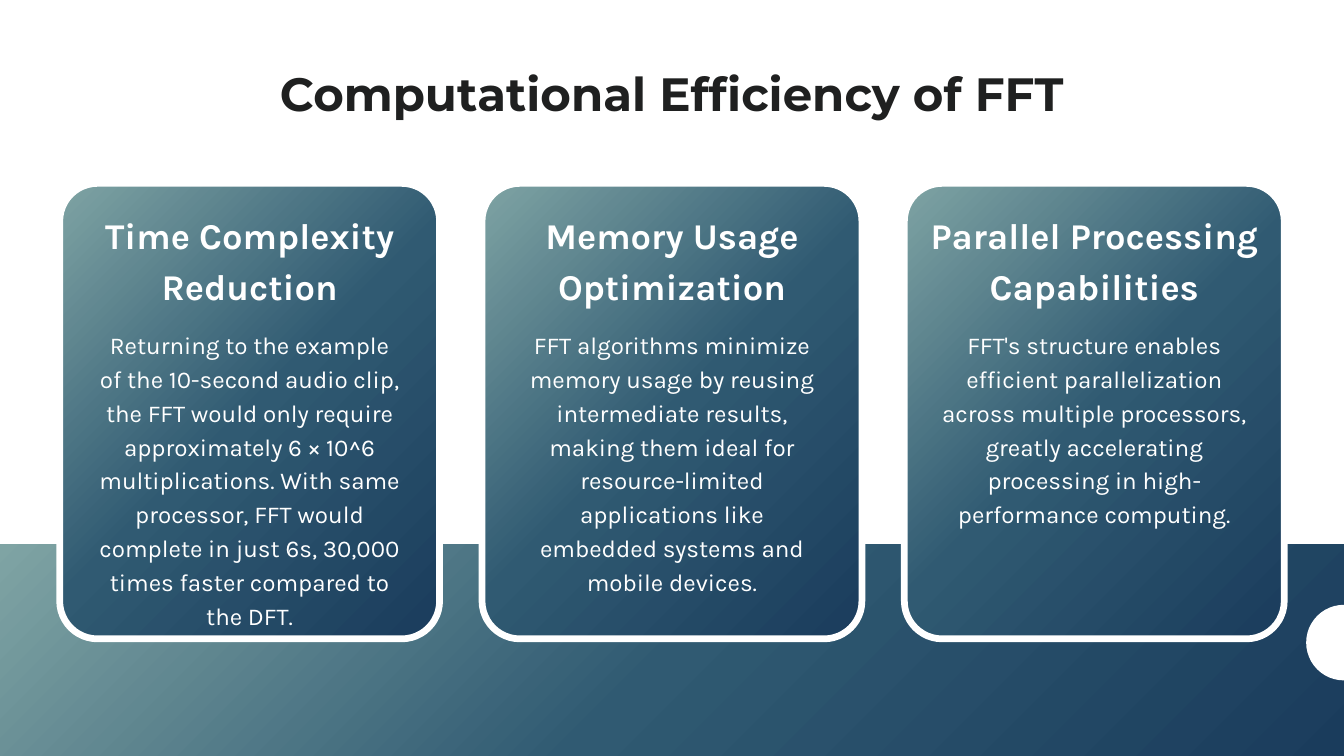
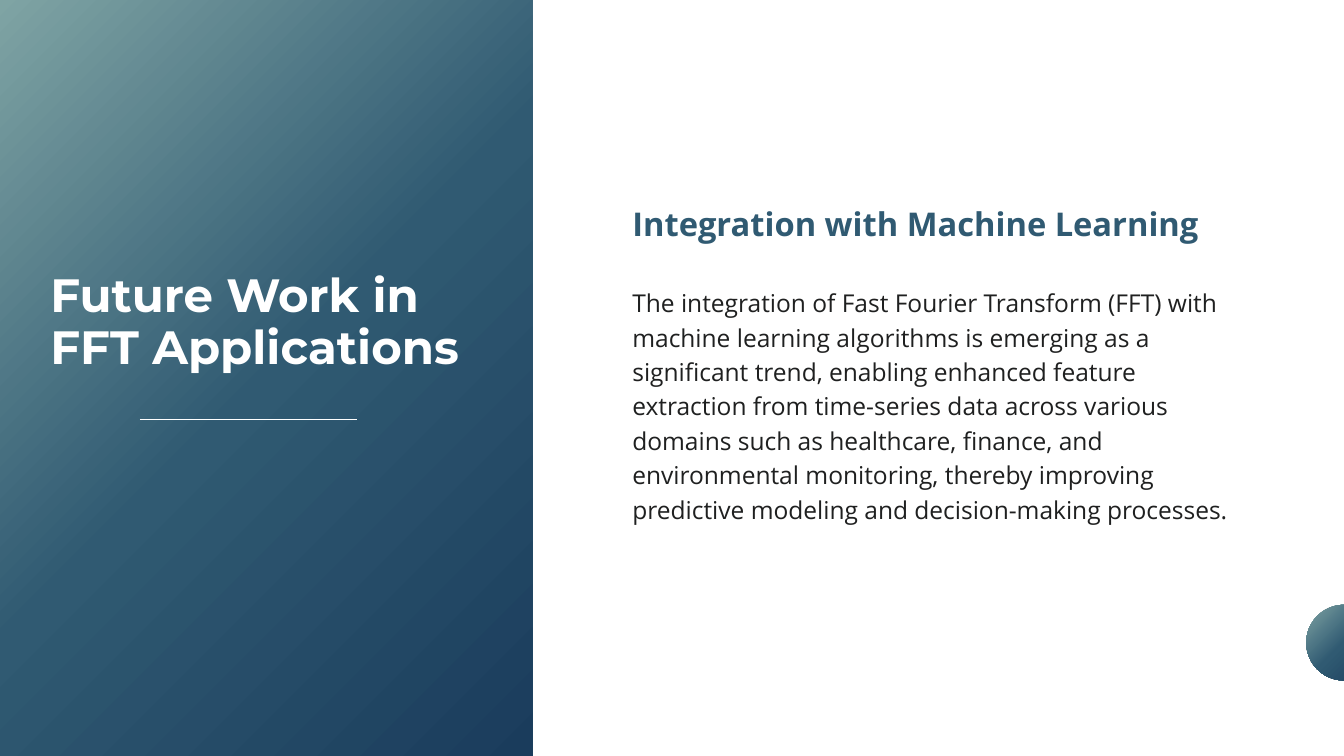
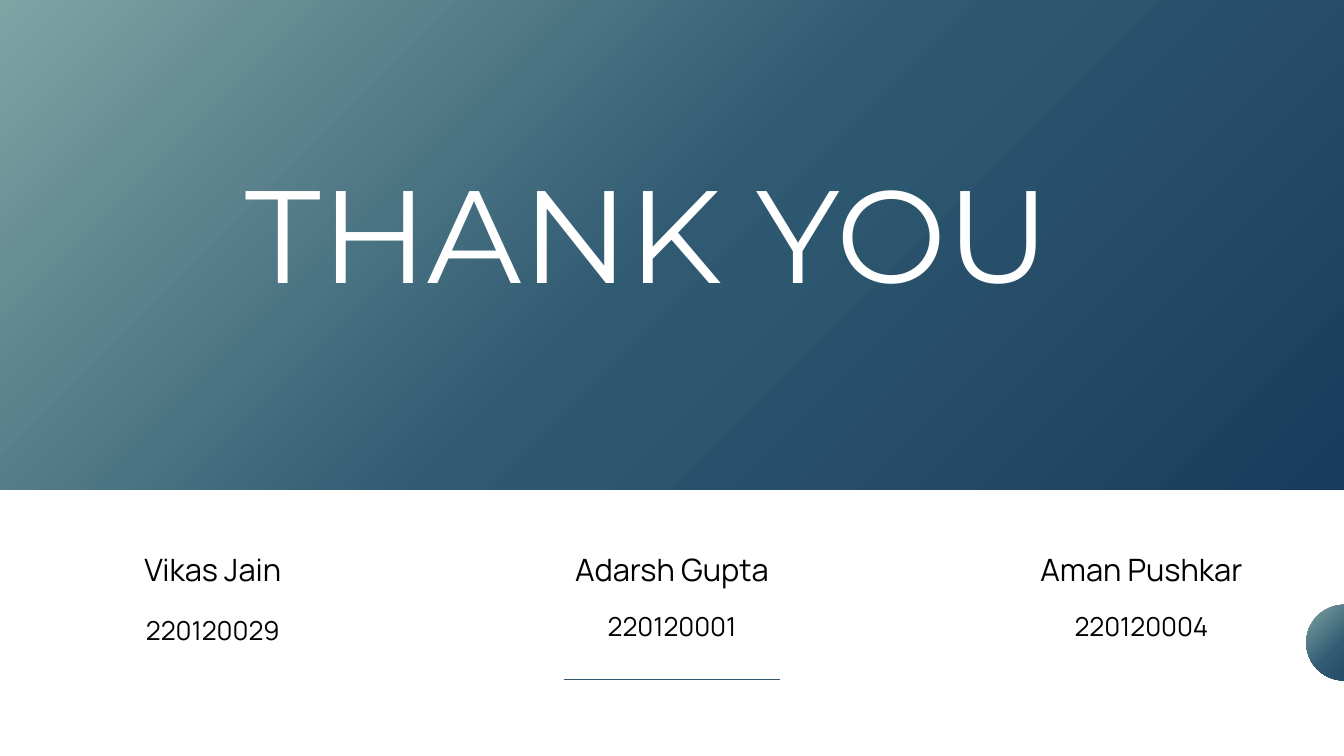
from copy import deepcopy
from dataclasses import dataclass, replace

from lxml.etree import SubElement
from pptx import Presentation
from pptx.dml.color import RGBColor
from pptx.enum.shapes import MSO_CONNECTOR as Connector, MSO_SHAPE as Shape
from pptx.enum.text import MSO_AUTO_SIZE as AutoSize, PP_ALIGN as Align
from pptx.oxml.ns import qn
from pptx.util import Pt

WIDTH, HEIGHT = 1440, 810
COLORS = {
    "sage": "7FA4A4",
    "teal": "305A72",
    "navy": "1A3C5C",
    "ink": "1F2020",
    "black": "000000",
    "white": "FFFFFF",
}
GRADIENT = [(0, "sage"), (0.5, "teal"), (1, "navy")]


@dataclass(frozen=True)
class Style:
    font: str
    size: float
    spacing: float
    color: str
    bold: bool = False
    align: Align = Align.CENTER


@dataclass(frozen=True)
class Box:
    left: float
    top: float
    width: float
    height: float

    def lengths(self) -> list:
        return [Pt(value) for value in (self.left, self.top, self.width, self.height)]


@dataclass(frozen=True)
class Card:
    heading: str
    body: str
    body_lines: int
    heading_width: float = 327.6


@dataclass(frozen=True)
class Member:
    name: str
    number: str
    center: float
    name_width: float
    number_top: float = 648.7


# Text styles
TITLE = Style("Montserrat", 50, 56, "ink", bold=True)
SIDE_TITLE = replace(TITLE, color="white", align=Align.LEFT)
CARD_HEADING = Style("Karla", 38.9, 54.5, "white", bold=True)
CARD_BODY = Style("Karla", 25.9, 36.2, "white")
TOPIC = Style("Open Sans", 35, 49, "teal", bold=True, align=Align.LEFT)
TOPIC_BODY = Style("Open Sans", 26.3, 36.8, "ink", align=Align.LEFT)
THANKS = Style("Montserrat", 140.7, 143.5, "white")
MEMBER_NAME = Style("Manrope", 33, 46.2, "black")
MEMBER_NUMBER = Style("Manrope", 28, 39.2, "black")

# Card grid
CARD_LEFT, CARD_TOP, CARD_PITCH = 64, 196.5, 452.5
CARD_WIDTH, CARD_HEIGHT, CARD_RADIUS, CARD_BORDER = 407, 488, 40.5, 7.2
CARDS = [
    Card(
        "Time Complexity Reduction",
        "Returning to the example of the 10-second audio clip, the FFT would only "
        "require approximately 6 × 10^6 multiplications. With same processor, FFT "
        "would complete in just 6s, 30,000 times faster compared to the DFT.",
        9,
    ),
    Card(
        "Memory Usage Optimization",
        "FFT algorithms minimize memory usage by reusing intermediate results, "
        "making them ideal for resource-limited applications like embedded systems "
        "and mobile devices.",
        8,
    ),
    Card(
        "Parallel Processing Capabilities",
        "FFT's structure enables efficient parallelization across multiple "
        "processors, greatly accelerating processing in high-performance computing.",
        7,
        heading_width=373.7,
    ),
]

MEMBERS = [
    Member("Vikas Jain", "220120029", 228, 165, number_top=652.3),
    Member("Adarsh Gupta", "220120001", 720, 230),
    Member("Aman Pushkar", "220120004", 1223, 238.5),
]


def rgb(name: str) -> RGBColor:
    return RGBColor.from_string(COLORS[name])


def fill_gradient(shape) -> None:
    fill = shape.fill
    fill.gradient()
    fill.gradient_angle = 315
    stop_list = shape._element.spPr.find(".//" + qn("a:gsLst"))
    stop_list.append(deepcopy(stop_list[0]))
    for stop, (position, color) in zip(fill.gradient_stops, GRADIENT):
        stop.position = position
        stop.color.rgb = rgb(color)


def add_panel(slide, box: Box, kind: Shape = Shape.RECTANGLE, color: str = ""):
    """Draw a borderless shape, with the shared gradient unless a colour is given."""
    shape = slide.shapes.add_shape(kind, *box.lengths())
    shape.shadow.inherit = False
    shape.line.fill.background()
    if color:
        shape.fill.solid()
        shape.fill.fore_color.rgb = rgb(color)
    else:
        fill_gradient(shape)
    return shape


def add_edge_circle(slide, color: str = "") -> None:
    radius = 40.5
    box = Box(WIDTH - radius, 648, 2 * radius, 2 * radius)
    add_panel(slide, box, Shape.OVAL, color)


def add_text(slide, text: str, box: Box, style: Style) -> None:
    text_frame = slide.shapes.add_textbox(*box.lengths()).text_frame
    text_frame.margin_left = text_frame.margin_right = 0
    text_frame.margin_top = text_frame.margin_bottom = 0
    text_frame.word_wrap = True
    text_frame.auto_size = AutoSize.SHAPE_TO_FIT_TEXT
    text_frame.text = text
    paragraph = text_frame.paragraphs[0]
    paragraph.alignment = style.align
    paragraph.line_spacing = Pt(style.spacing)
    font = paragraph.runs[0].font
    font.name = style.font
    font.size = Pt(style.size)
    font.bold = style.bold
    font.color.rgb = rgb(style.color)


def add_centered_text(slide, text: str, center: float, top: float,
                      width: float, height: float, style: Style) -> None:
    add_text(slide, text, Box(center - width / 2, top, width, height), style)


def add_rule(slide, left: float, top: float, color: str) -> None:
    line = slide.shapes.add_connector(
        Connector.STRAIGHT, Pt(left), Pt(top), Pt(left + 232), Pt(top))
    line.line.color.rgb = rgb(color)
    line.line.width = Pt(1.5)
    SubElement(line._element.spPr, qn("a:effectLst"))


def add_card(slide, card: Card, left: float) -> None:
    box = Box(left, CARD_TOP, CARD_WIDTH, CARD_HEIGHT)
    shape = add_panel(slide, box, Shape.ROUNDED_RECTANGLE)
    shape.adjustments[0] = CARD_RADIUS / CARD_WIDTH
    shape.line.color.rgb = rgb("white")
    shape.line.width = Pt(CARD_BORDER)
    center = left + CARD_WIDTH / 2
    add_centered_text(slide, card.heading, center, 221, card.heading_width, 106.6,
                      CARD_HEADING)
    add_centered_text(slide, card.body, center, 349.2, 327.6, 36 * card.body_lines,
                      CARD_BODY)


def build_efficiency(slide) -> None:
    add_panel(slide, Box(0, 583.2, WIDTH, HEIGHT - 583.2))
    add_centered_text(slide, "Computational Efficiency of FFT", WIDTH / 2, 73.4,
                      905.8, 56, TITLE)
    for index, card in enumerate(CARDS):
        add_card(slide, card, CARD_LEFT + index * CARD_PITCH)
    add_edge_circle(slide, "white")


def build_future_work(slide) -> None:
    add_edge_circle(slide)
    add_panel(slide, Box(0, 0, 570.5, HEIGHT))
    add_rule(slide, 150, 449.3, "white")
    add_text(slide, "Future Work in FFT Applications", Box(54, 288.7, 444, 113),
             SIDE_TITLE)
    add_text(
        slide,
        "The integration of Fast Fourier Transform (FFT) with machine learning "
        "algorithms is emerging as a significant trend, enabling enhanced feature "
        "extraction from time-series data across various domains such as healthcare, "
        "finance, and environmental monitoring, thereby improving predictive modeling "
        "and decision-making processes.",
        Box(677.5, 303.8, 651, 291.6),
        TOPIC_BODY,
    )
    add_text(slide, "Integration with Machine Learning", Box(677.5, 211, 651, 45.4),
             TOPIC)


def build_thanks(slide) -> None:
    add_edge_circle(slide)
    add_panel(slide, Box(0, 0, WIDTH, 525))
    add_rule(slide, 604, 728, "teal")
    for member in MEMBERS:
        add_centered_text(slide, member.name, member.center, 583.2,
                          member.name_width, 46.8, MEMBER_NAME)
        add_centered_text(slide, member.number, member.center, member.number_top,
                          162, 37.4, MEMBER_NUMBER)
    add_text(slide, "THANK YOU", Box(192.2, 188, 1004.4, 149), THANKS)


def main() -> None:
    presentation = Presentation()
    presentation.slide_width, presentation.slide_height = Pt(WIDTH), Pt(HEIGHT)
    blank_layout = presentation.slide_layouts[6]
    for build in (build_efficiency, build_future_work, build_thanks):
        build(presentation.slides.add_slide(blank_layout))
    presentation.save("out.pptx")


if __name__ == "__main__":
    main()
